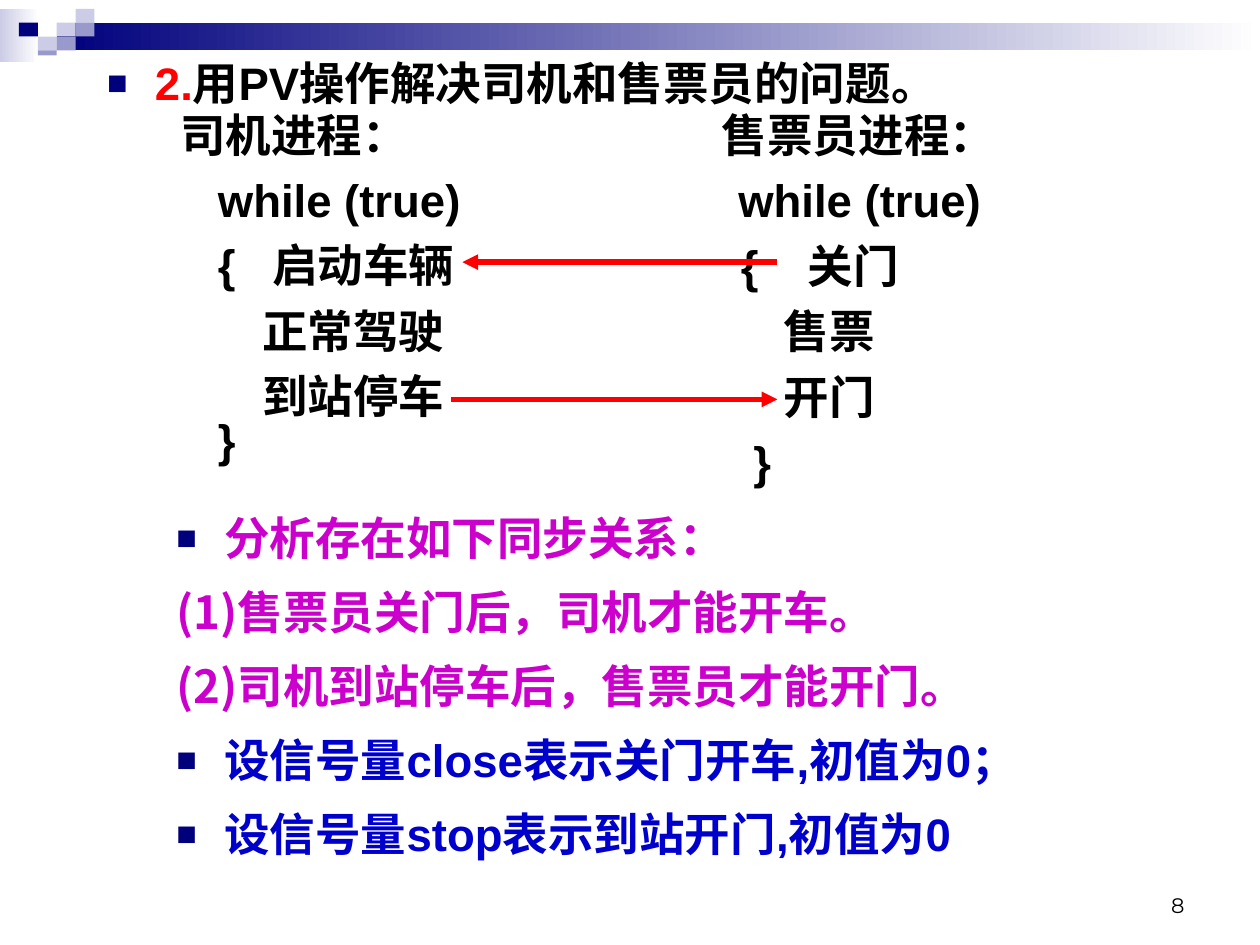
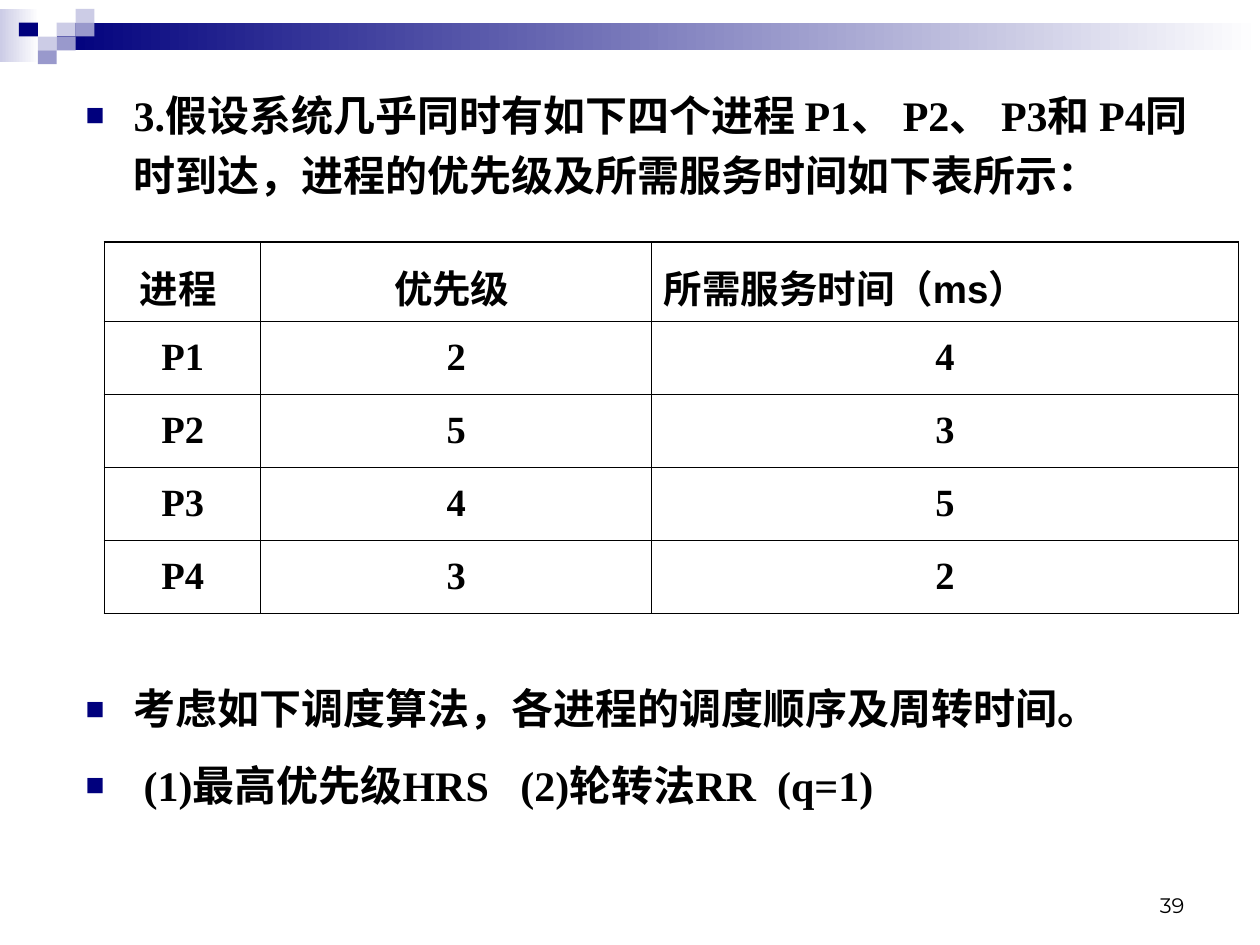
from lxml import etree
from pptx import Presentation
from pptx.dml.color import RGBColor
from pptx.enum.shapes import MSO_CONNECTOR, MSO_SHAPE
from pptx.enum.text import MSO_ANCHOR, MSO_AUTO_SIZE, PP_ALIGN
from pptx.oxml.ns import qn
from pptx.util import Inches, Pt

RECTANGLE = MSO_SHAPE.RECTANGLE
STRAIGHT = MSO_CONNECTOR.STRAIGHT
TOP, BOTTOM = MSO_ANCHOR.TOP, MSO_ANCHOR.BOTTOM
LEFT, CENTER, RIGHT = PP_ALIGN.LEFT, PP_ALIGN.CENTER, PP_ALIGN.RIGHT
NO_AUTOFIT = MSO_AUTO_SIZE.NONE

NAVY = RGBColor(0x00, 0x00, 0x7D)
LAVENDER = RGBColor(0xCC, 0xCC, 0xE6)
PERIWINKLE = RGBColor(0x99, 0x99, 0xCC)
WHITE = RGBColor(0xFF, 0xFF, 0xFF)
BLACK = RGBColor(0x00, 0x00, 0x00)
RED = RGBColor(0xFF, 0x00, 0x00)
MAGENTA = RGBColor(0xCC, 0x00, 0xCC)
BLUE = RGBColor(0x00, 0x00, 0xCC)

SANS, SERIF = "Arial", "Times New Roman"
CHINESE, NUMERAL = "Noto Sans CJK SC", "Montserrat"

SLIDE_COLUMNS, SLIDE_ROWS = 10, 7.5
CELL = Inches(1)
HANGING = 0.38
TILE_WIDTH, TILE_HEIGHT, MOSAIC_TOP = 0.15, 0.11, 0.07
MOSAIC = [
    (3, 1, LAVENDER), (4, 0, LAVENDER), (4, 1, PERIWINKLE), (2, 2, LAVENDER),
    (1, 1, NAVY), (3, 2, PERIWINKLE), (2, 3, PERIWINKLE),
]

DRIVER = [
    ("司机进程：", 0, 0, 0.8), ("while (true)", 0.3, 0, 1.2),
    ("{\t启动车辆", 0.73, -0.43, 1.2), ("正常驾驶", 0.65, 0, 1.2),
    ("到站停车", 0.65, 0, 1.2), ("}", 0.3, 0, 0.8),
]
CONDUCTOR = [
    ("售票员进程：", 0.25, 0, 1.2), ("while (true)", 0.38, 0, 1.2),
    ("{\t关门", 0.93, -0.53, 1.2), ("售票", 0.74, 0, 1.2),
    ("开门", 0.74, 0, 1.2), ("}", 0.5, 0, 1.2),
]
RELATIONS = [
    ("分析存在如下同步关系：", SANS, MAGENTA, True),
    ("(1)售票员关门后，司机才能开车。", CHINESE, MAGENTA, False),
    ("(2)司机到站停车后，售票员才能开门。", CHINESE, MAGENTA, False),
    ("设信号量close表示关门开车,初值为0；", SANS, BLUE, True),
    ("设信号量stop表示到站开门,初值为0", SANS, BLUE, True),
]
PROCESSES = [
    ("进程 ", "优先级 ", "所需服务时间（ms）"),
    ("P1", "2", "4"), ("P2", "5", "3"), ("P3", "4", "5"), ("P4", "3", "2"),
]
ALGORITHMS = ["(1)最高优先级HRS", " ", "(2)轮转法RR", " ", "(q=1)"]
ALGORITHM_GAPS = {1: 12, 3: 6}


def area(*cells):
    """Turn grid columns and rows into lengths."""
    return [int(CELL * cell) for cell in cells]


def add_block(shapes, place, color, fade_to=None):
    """Add a borderless rectangle, plain or fading to the right."""
    block = shapes.add_shape(RECTANGLE, *area(*place))
    block.shadow.inherit = False
    block.line.fill.background()
    if fade_to is None:
        block.fill.solid()
        block.fill.fore_color.rgb = color
    else:
        block.fill.gradient()
        block.fill.gradient_angle = 0
        for stop, shade in zip(block.fill.gradient_stops, (color, fade_to)):
            stop.color.rgb = shade
    return block


def add_master_band(master, slide):
    """Build the gradient band and mosaic and move them to the master."""
    band = slide.shapes.add_group_shape()
    add_block(band.shapes, (0, MOSAIC_TOP, 0.31, 0.42), LAVENDER, WHITE)
    add_block(band.shapes, (0.45, 0.18, SLIDE_COLUMNS - 0.45, 0.22), NAVY, WHITE)
    for column, row, color in MOSAIC:
        place = (column * TILE_WIDTH, MOSAIC_TOP + row * TILE_HEIGHT,
                 TILE_WIDTH, TILE_HEIGHT)
        add_block(band.shapes, place, color)
    for properties in band.element.xpath(".//p:cNvPr"):
        properties.set("id", str(100 + int(properties.get("id"))))
    master.shapes.element.insert(2, band.element)


def prepare_frame(shape, margins=(0.1, 0.05), anchor=TOP):
    """Give a text frame wrapping, margins and an anchor."""
    frame = shape.text_frame
    frame.word_wrap = True
    frame.auto_size = NO_AUTOFIT
    frame.vertical_anchor = anchor
    frame.margin_left = frame.margin_right = Inches(margins[0])
    frame.margin_top = frame.margin_bottom = Inches(margins[1])
    return frame


def place_placeholder(placeholder, *cells):
    """Move a placeholder on the grid and return its frame."""
    placeholder.left, placeholder.top, placeholder.width, placeholder.height = area(*cells)
    return prepare_frame(placeholder)


def add_text_box(slide, place, margins=(0.1, 0.05), anchor=TOP):
    """Add a wrapping text box and return its frame."""
    return prepare_frame(slide.shapes.add_textbox(*area(*place)), margins, anchor)


def next_paragraph(frame, index):
    """Return the first paragraph, or a new one after it."""
    return frame.add_paragraph() if index else frame.paragraphs[0]


def style_paragraph(paragraph, spacing=1.2, after=0, before=0, align=LEFT):
    """Set alignment and spacing."""
    paragraph.alignment = align
    paragraph.line_spacing = spacing
    paragraph.space_before = Pt(before)
    paragraph.space_after = Pt(after)


def indent(paragraph, margin, first=0):
    """Set the left margin and the first-line indent."""
    properties = paragraph._p.get_or_add_pPr()
    properties.set("marL", str(Inches(margin)))
    properties.set("indent", str(Inches(first)))
    return properties


def mark(paragraph, bulleted=True, margin=HANGING):
    """Give a paragraph a hanging indent, with or without a square bullet."""
    properties = indent(paragraph, margin, -margin)
    if not bulleted:
        etree.SubElement(properties, qn("a:buNone"))
        return
    color = etree.SubElement(properties, qn("a:buClr"))
    etree.SubElement(color, qn("a:srgbClr"), val=str(NAVY))
    etree.SubElement(properties, qn("a:buSzPct"), val="75000")
    etree.SubElement(properties, qn("a:buFont"), typeface=SANS)
    etree.SubElement(properties, qn("a:buChar"), char="■")


def style_runs(paragraph, size, font=SANS, color=BLACK, bold=True):
    """Format every run of a paragraph."""
    for run in paragraph.runs:
        run.font.size = Pt(size)
        run.font.bold = bold
        run.font.name = font
        run.font.color.rgb = color
        etree.SubElement(run.font._element, qn("a:ea"), typeface=CHINESE)


def add_page_number(slide, number):
    """Write the page number at the lower right."""
    frame = add_text_box(slide, (7.17, 6.83, 2.33, 0.5), anchor=BOTTOM)
    frame.text = number
    style_paragraph(frame.paragraphs[0], spacing=1, align=RIGHT)
    style_runs(frame.paragraphs[0], 12, NUMERAL, bold=False)


def add_process_code(slide, place, lines):
    """Write the pseudocode of one process."""
    frame = add_text_box(slide, place, margins=(0.01, 0.01))
    for index, (line, margin, first, spacing) in enumerate(lines):
        paragraph = next_paragraph(frame, index)
        paragraph.text = line
        style_paragraph(paragraph, spacing)
        indent(paragraph, margin, first)
        style_runs(paragraph, 26)


def add_sync_arrow(slide, start, end, row):
    """Draw a red horizontal arrow between the processes."""
    arrow = slide.shapes.add_connector(STRAIGHT, *area(start, row, end, row))
    arrow.line.color.rgb = RED
    arrow.line.width = Pt(3)
    etree.SubElement(arrow.line._get_or_add_ln(), qn("a:tailEnd"), type="triangle")
    etree.SubElement(arrow.element.spPr, qn("a:effectLst"))


def set_borders(cell, weights):
    """Draw the left, right, top and bottom borders of a cell."""
    properties = cell._tc.get_or_add_tcPr()
    for position, (side, weight) in enumerate(zip("LRTB", weights)):
        line = etree.Element(qn(f"a:ln{side}"), w=str(Pt(weight)))
        fill = etree.SubElement(line, qn("a:solidFill"))
        etree.SubElement(fill, qn("a:srgbClr"), val=str(BLACK))
        properties.insert(position, line)


def add_process_table(slide):
    """Add the table of priorities and service times."""
    last_row, last_column = len(PROCESSES) - 1, len(PROCESSES[0]) - 1
    table = slide.shapes.add_table(
        last_row + 1, last_column + 1, *area(0.83, 1.92, 9, 2.91)).table
    table.first_row = table.horz_banding = False
    for column, width in zip(table.columns, (1.24, 3.1, 4.66)):
        column.width = Inches(width)
    for row_index, values in enumerate(PROCESSES):
        table.rows[row_index].height = Inches(0.58 if row_index else 0.63)
        for column_index, value in enumerate(values):
            cell = table.cell(row_index, column_index)
            cell.fill.background()
            outer = (column_index == 0, column_index == last_column,
                     row_index == 0, row_index == last_row)
            set_borders(cell, [1.08 if edge else 0.45 for edge in outer])
            paragraph = cell.text_frame.paragraphs[0]
            paragraph.text = value
            is_time_heading = row_index == 0 and column_index == last_column
            style_paragraph(paragraph, after=4.1,
                            align=LEFT if is_time_heading else CENTER)
            style_runs(paragraph, 22, SERIF if row_index else SANS)


def build_sync_slide(slide):
    """Build the driver and conductor slide."""
    cover = add_block(slide.shapes, (0.27, 0.44, 9.37, 1.42), WHITE)
    slide.shapes.element.insert(2, cover.element)

    question = place_placeholder(slide.shapes.title, 0.75, 0.3, 8.5, 0.7).paragraphs[0]
    question.text = "2."
    question.add_run().text = "用PV操作解决司机和售票员的问题。"
    style_paragraph(question)
    mark(question)
    style_runs(question, 26)
    question.runs[0].font.color.rgb = RED

    add_process_code(slide, (1.42, 0.92, 2.63, 2.84), DRIVER)
    add_process_code(slide, (5.47, 0.75, 2.69, 3.17), CONDUCTOR)

    relations = place_placeholder(slide.placeholders[1], 1.3, 3.91, 7.72, 2.99)
    for index, (statement, font, color, bulleted) in enumerate(RELATIONS):
        paragraph = next_paragraph(relations, index)
        paragraph.text = statement
        style_paragraph(paragraph, after=4.9)
        mark(paragraph, bulleted)
        style_runs(paragraph, 26, font, color)

    add_sync_arrow(slide, 6.17, 3.67, 2.08)
    add_sync_arrow(slide, 3.58, 6.17, 3.17)
    add_page_number(slide, "8")


def build_scheduling_slide(slide):
    """Build the process scheduling slide."""
    question = place_placeholder(slide.shapes.title, 0.58, 0.58, 9.25, 1.2).paragraphs[0]
    question.text = ("3.假设系统几乎同时有如下四个进程 P1、 P2、 P3和 P4"
                     "同时到达，进程的优先级及所需服务时间如下表所示：")
    style_paragraph(question)
    mark(question)
    style_runs(question, 24, SERIF)

    add_process_table(slide)

    tasks = place_placeholder(slide.placeholders[1], 0.58, 5.29, 9.25, 1.5)
    consider = tasks.paragraphs[0]
    consider.text = "考虑如下调度算法，各进程的调度顺序及周转时间。"
    style_paragraph(consider, after=4.5)
    mark(consider)
    algorithms = tasks.add_paragraph()
    for part in ALGORITHMS:
        algorithms.add_run().text = part
    style_paragraph(algorithms, before=4.5)
    mark(algorithms, margin=0.46)
    for paragraph in tasks.paragraphs:
        style_runs(paragraph, 24, SERIF)
    for position, extra in ALGORITHM_GAPS.items():
        algorithms.runs[position].font._element.set("spc", str(extra * 100))
    add_page_number(slide, "39")


def main():
    """Build and save the presentation."""
    deck = Presentation()
    deck.slide_width, deck.slide_height = area(SLIDE_COLUMNS, SLIDE_ROWS)
    layout = deck.slide_layouts[1]
    sync_slide = deck.slides.add_slide(layout)
    add_master_band(deck.slide_master, sync_slide)
    build_sync_slide(sync_slide)
    build_scheduling_slide(deck.slides.add_slide(layout))
    deck.save("out.pptx")


if __name__ == "__main__":
    main()
